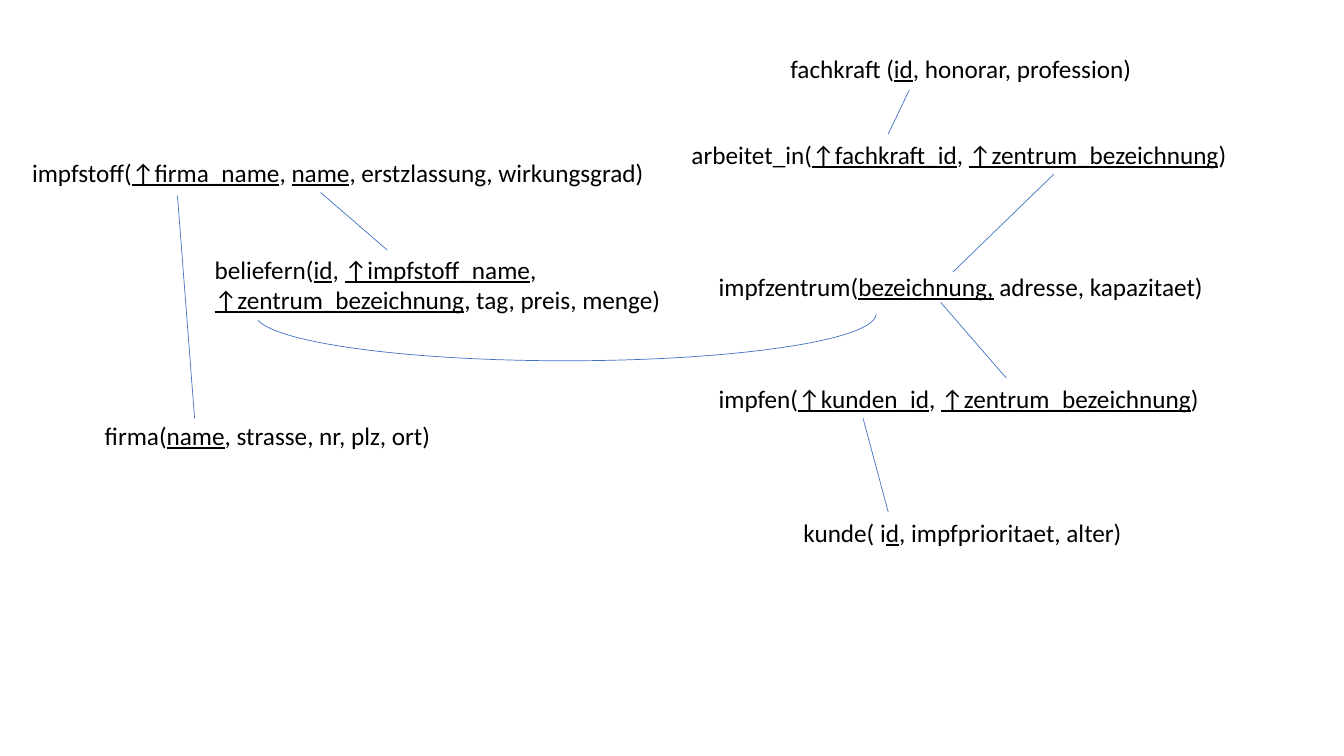
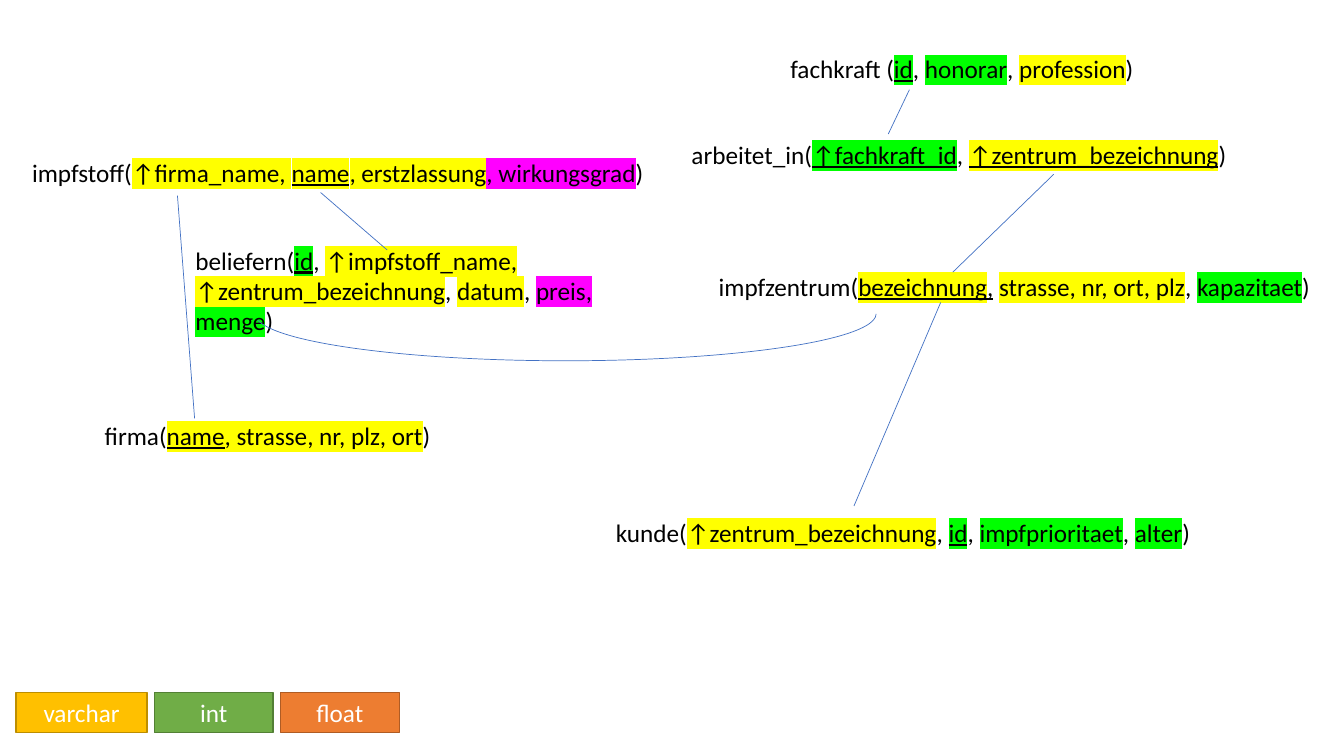
"""Draw the relational schema of a vaccination database, plain and by data type."""
from dataclasses import dataclass
from typing import NamedTuple

from lxml.etree import SubElement
from pptx import Presentation
from pptx.dml.color import RGBColor
from pptx.enum.shapes import MSO_CONNECTOR, MSO_SHAPE
from pptx.enum.text import MSO_ANCHOR, MSO_AUTO_SIZE, PP_ALIGN
from pptx.oxml.ns import qn
from pptx.util import Inches, Pt

FONT = "Calibri"
COLORS = {
    "black": "000000", "white": "FFFFFF", "link": "4472C4",
    "text": "FFFF00", "int": "00FF00", "float": "FF00FF",
    "gold": "FFC000", "gold edge": "BD8E00",
    "green": "70AD47", "green edge": "538035",
    "orange": "ED7D31", "orange edge": "AF5C24",
}


class Box(NamedTuple):
    x: float
    y: float
    w: float
    h: float = 0.4


class Link(NamedTuple):
    x1: float
    y1: float
    x2: float
    y2: float


class Run(NamedTuple):
    text: str
    under: bool = False
    mark: str = ""


class Key(NamedTuple):
    text: str
    color: str
    width: float


@dataclass
class Table:
    box: Box
    runs: list[Run]


FIRMA = Box(0.94, 4.12, 3.55)
WORKS = Box(6.76, 1.33, 5.64)
STAFF = Box(7.74, 0.48, 3.67)
STOFF = Box(0.22, 1.51, 6.45)
ARC = Box(2.53, 2.65, 6.16, 0.93)

LINKS = [
    Link(9.02, 0.89, 8.81, 1.33),
    Link(10.45, 1.73, 9.45, 2.7),
    Link(3.18, 1.91, 3.84, 2.48),
    Link(1.76, 1.94, 1.93, 4.15),
]
PLAIN_LINKS = [Link(8.81, 5.08, 8.56, 4.15), Link(9.33, 3, 9.98, 3.75)]
TYPED_LINKS = [Link(9.33, 3, 8.47, 5.02)]

PLAIN = [
    Table(FIRMA, [Run("firma("), Run("name", True), Run(", strasse, nr, plz, ort)")]),
    Table(Box(7.03, 3.75, 5.08), [
        Run("impfen("), Run("↑kunden_id", True), Run(", "),
        Run("↑zentrum_bezeichnung", True), Run(")")]),
    Table(Box(7.87, 5.08, 3.42), [
        Run("kunde( i"), Run("d", True), Run(", impfprioritaet, alter)")]),
    Table(WORKS, [
        Run("arbeitet_in("), Run("↑fachkraft_id", True), Run(", "),
        Run("↑zentrum_bezeichnung", True), Run(")")]),
    Table(STAFF, [Run("fachkraft ("), Run("id", True), Run(", honorar, profession)")]),
    Table(Box(2.03, 2.47, 4.91, 0.71), [
        Run("beliefern("), Run("id", True), Run(", "),
        Run("↑impfstoff_name", True), Run(", "),
        Run("↑zentrum_bezeichnung", True), Run(", tag, preis, menge)")]),
    Table(Box(7.03, 2.64, 5.08), [
        Run("impfzentrum("), Run("bezeichnung,", True), Run(" adresse, kapazitaet)")]),
    Table(STOFF, [
        Run("impfstoff("), Run("↑firma_name", True), Run(", "),
        Run("name", True), Run(", erstzlassung, wirkungsgrad)")]),
]

TYPED = [
    Table(FIRMA, [
        Run("firma("), Run("name", True, "text"),
        Run(", strasse, nr, plz, ort", mark="text"), Run(")")]),
    Table(Box(6.01, 5.08, 6.03), [
        Run("kunde("), Run("↑zentrum_bezeichnung", mark="text"), Run(", "),
        Run("id", True, "int"), Run(", "), Run("impfprioritaet", mark="int"),
        Run(", "), Run("alter", mark="int"), Run(")")]),
    Table(WORKS, [
        Run("arbeitet_in("), Run("↑fachkraft_id", True, "int"), Run(", "),
        Run("↑zentrum_bezeichnung", True, "text"), Run(")")]),
    Table(STAFF, [
        Run("fachkraft ("), Run("id", True, "int"), Run(", "),
        Run("honorar", mark="int"), Run(", "),
        Run("profession", mark="text"), Run(")")]),
    Table(Box(1.84, 2.38, 4.91, 1.01), [
        Run("beliefern("), Run("id", True, "int"), Run(", "),
        Run("↑impfstoff_name, ↑zentrum_bezeichnung", mark="text"), Run(", "),
        Run("datum", mark="text"), Run(", "), Run("preis, ", mark="float"),
        Run("menge", mark="int"), Run(")")]),
    Table(Box(7.03, 2.64, 6.16), [
        Run("impfzentrum("), Run("bezeichnung", True, "text"), Run(",", True),
        Run(" "), Run("strasse, nr, ort, plz", mark="text"), Run(", "),
        Run("kapazitaet", mark="int"), Run(")")]),
    Table(STOFF, [
        Run("impfstoff("), Run("↑firma_name, ", mark="text"),
        Run("name", True, "text"), Run(", erstzlassung", mark="text"),
        Run(", wirkungsgrad", mark="float"), Run(")")]),
]

KEYS = [Key("varchar", "gold", 1.3), Key("int", "green", 1.18), Key("float", "orange", 1.18)]
KEY_LEFT, KEY_TOP, KEY_GAP = 0.16, 6.87, 0.07


def rgb(name: str) -> RGBColor:
    return RGBColor.from_string(COLORS[name])


def span(box: Box) -> list[Inches]:
    return [Inches(v) for v in box]


def write(para, text: str, *, color: str = "black", under: bool = False,
          mark: str = "", size: float = 18) -> None:
    run = para.add_run()
    run.text = text
    font = run.font
    font.name, font.size, font.underline = FONT, Pt(size), under
    font.color.rgb = rgb(color)
    if mark:
        props = run._r.get_or_add_rPr()
        tint = SubElement(props, qn("a:highlight"))
        SubElement(tint, qn("a:srgbClr"), val=COLORS[mark])
        props.find(qn("a:solidFill")).addnext(tint)


def stroke(line, color: str, width: float) -> None:
    line.color.rgb = rgb(color)
    line.width = Pt(width)


def add_table_text(slide, table: Table) -> None:
    frame = slide.shapes.add_textbox(*span(table.box)).text_frame
    frame.word_wrap = True
    frame.auto_size = MSO_AUTO_SIZE.SHAPE_TO_FIT_TEXT
    for run in table.runs:
        write(frame.paragraphs[0], run.text, under=run.under, mark=run.mark)


def add_link(slide, link: Link) -> None:
    ends = [Inches(v) for v in link]
    line = slide.shapes.add_connector(MSO_CONNECTOR.STRAIGHT, *ends)
    stroke(line.line, "link", 0.5)
    SubElement(line.element.spPr, qn("a:effectLst"))


def add_arc(slide, box: Box) -> None:
    arc = slide.shapes.add_shape(MSO_SHAPE.ARC, *span(box))
    arc.adjustments[0], arc.adjustments[1] = 108.7, 0
    arc.element.spPr.find(qn("a:xfrm")).set("flipV", "1")
    arc.shadow.inherit = False
    arc.fill.background()
    stroke(arc.line, "link", 0.5)


def add_key(slide, key: Key, left: float) -> None:
    rect = slide.shapes.add_shape(
        MSO_SHAPE.RECTANGLE, *span(Box(left, KEY_TOP, key.width)))
    rect.shadow.inherit = False
    rect.fill.solid()
    rect.fill.fore_color.rgb = rgb(key.color)
    stroke(rect.line, f"{key.color} edge", 1)
    frame = rect.text_frame
    frame.vertical_anchor = MSO_ANCHOR.MIDDLE
    para = frame.paragraphs[0]
    para.alignment = PP_ALIGN.CENTER
    write(para, key.text, color="white")


def add_schema(deck, tables: list[Table], links: list[Link]):
    slide = deck.slides.add_slide(deck.slide_layouts[6])
    for table in tables:
        add_table_text(slide, table)
    for link in links + LINKS:
        add_link(slide, link)
    add_arc(slide, ARC)
    return slide


def main() -> None:
    deck = Presentation()
    deck.slide_width, deck.slide_height = Inches(13.33), Inches(7.5)
    add_schema(deck, PLAIN, PLAIN_LINKS)
    slide = add_schema(deck, TYPED, TYPED_LINKS)
    left = KEY_LEFT
    for key in KEYS:
        add_key(slide, key, left)
        left += key.width + KEY_GAP
    deck.save("out.pptx")


if __name__ == "__main__":
    main()
